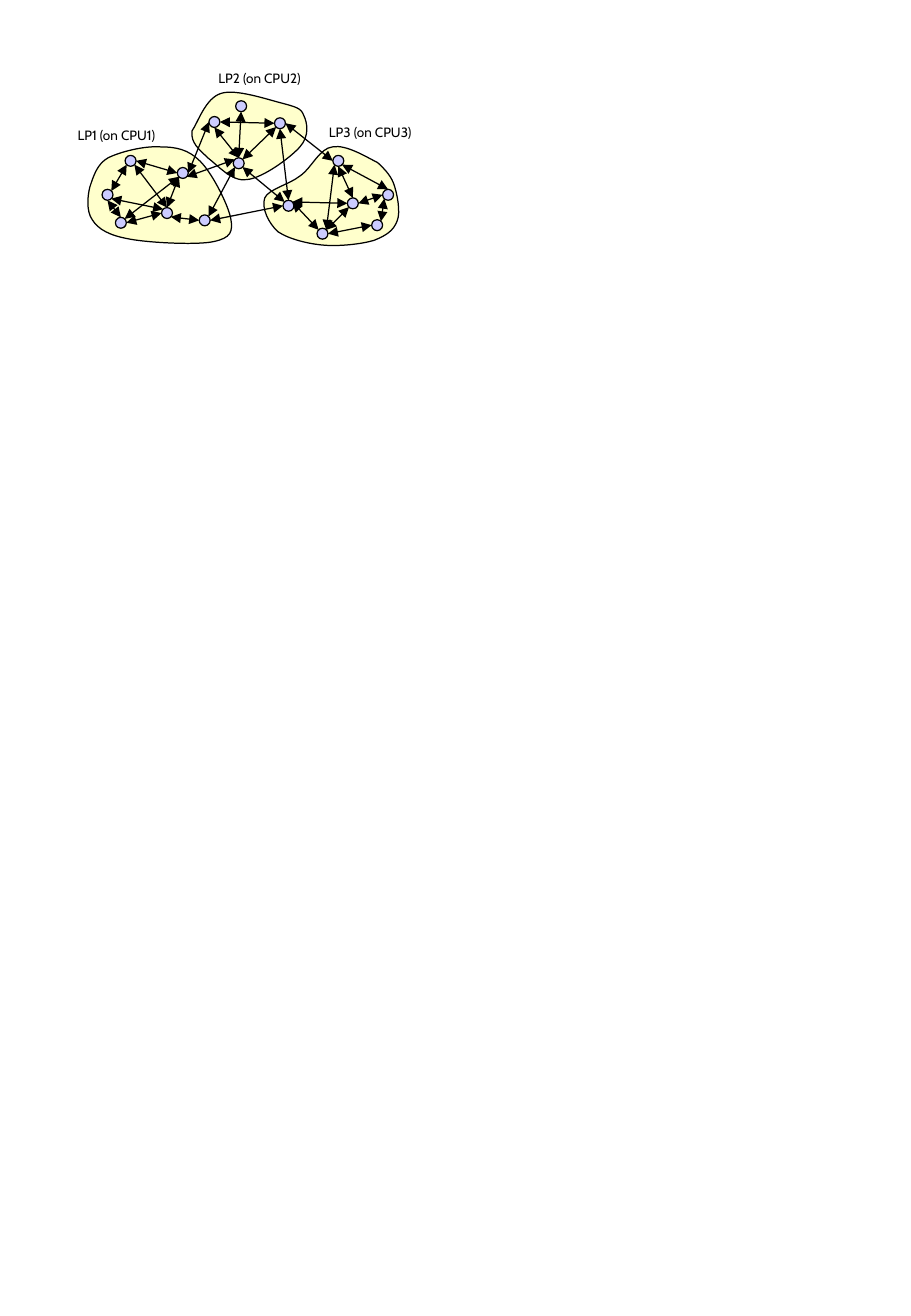
from lxml import etree
from pptx import Presentation
from pptx.dml.color import RGBColor
from pptx.enum.shapes import MSO_CONNECTOR, MSO_SHAPE
from pptx.enum.text import MSO_AUTO_SIZE
from pptx.oxml.ns import qn
from pptx.util import Inches, Pt


def add_text(text, left, top, width, height, size=8, font="Cabin", color="000000"):
    label = slide.shapes.add_textbox(Inches(left), Inches(top), Inches(width), Inches(height))
    label.text_frame.word_wrap = False
    label.text_frame.auto_size = MSO_AUTO_SIZE.SHAPE_TO_FIT_TEXT
    run = label.text_frame.paragraphs[0].add_run()
    run.text = text
    run.font.size = Pt(size)
    run.font.name = font
    run.font.color.rgb = RGBColor.from_string(color)


def paint(shape, fill, line="000000"):
    shape.shadow.inherit = False
    shape.fill.solid()
    shape.fill.fore_color.rgb = RGBColor.from_string(fill)
    shape.line.color.rgb = RGBColor.from_string(line)
    shape.line.width = Pt(0.75)


prs = Presentation()
prs.slide_width, prs.slide_height = Inches(7.5), Inches(10.84)
slide = prs.slides.add_slide(prs.slide_layouts[6])

# Each region is a start point followed by Bezier triples: two handles, then an end point.
regions = [
    [(0.89, 1.3),
     (0.8, 1.35), (0.77, 1.45), (0.74, 1.54),
     (0.72, 1.62), (0.71, 1.74), (0.76, 1.81),
     (0.81, 1.89), (0.9, 1.94), (1.07, 1.97),
     (1.23, 2), (1.63, 2.02), (1.76, 1.99),
     (1.9, 1.96), (1.92, 1.91), (1.9, 1.8),
     (1.88, 1.69), (1.75, 1.43), (1.65, 1.33),
     (1.55, 1.23), (1.45, 1.21), (1.32, 1.21),
     (1.19, 1.2), (0.99, 1.25), (0.89, 1.3)],
    [(1.58, 1.08),
     (1.57, 1.18), (1.64, 1.23), (1.71, 1.3),
     (1.79, 1.36), (1.91, 1.5), (2.03, 1.48),
     (2.16, 1.47), (2.39, 1.3), (2.47, 1.21),
     (2.55, 1.12), (2.53, 1.01), (2.5, 0.95),
     (2.48, 0.89), (2.43, 0.88), (2.32, 0.85),
     (2.2, 0.82), (1.94, 0.73), (1.82, 0.77),
     (1.69, 0.81), (1.63, 1.01), (1.58, 1.08)],
    [(3.11, 1.34),
     (3.01, 1.29), (2.85, 1.19), (2.74, 1.21),
     (2.63, 1.22), (2.57, 1.38), (2.47, 1.45),
     (2.38, 1.52), (2.21, 1.56), (2.18, 1.63),
     (2.15, 1.71), (2.21, 1.84), (2.29, 1.91),
     (2.38, 1.97), (2.54, 2.01), (2.67, 2.02),
     (2.8, 2.03), (2.98, 2.01), (3.08, 1.98),
     (3.18, 1.94), (3.24, 1.9), (3.27, 1.82),
     (3.3, 1.75), (3.27, 1.59), (3.24, 1.51),
     (3.21, 1.43), (3.14, 1.37), (3.11, 1.34)],
]
for points in regions:
    start, *rest = [(Inches(x), Inches(y)) for x, y in points]
    builder = slide.shapes.build_freeform(*start)
    builder.add_line_segments(rest, close=True)
    region = builder.convert_to_shape()
    paint(region, "FFFFCC")
    # Turn every three straight segments into one cubic curve.
    segments = list(region._element.iter(qn("a:lnTo")))
    for i in range(0, len(rest), 3):
        curve = etree.Element(qn("a:cubicBezTo"))
        segments[i].addprevious(curve)
        for segment in segments[i:i + 3]:
            curve.append(segment[0])
            segment.getparent().remove(segment)

for number, left, top in [(1, 0.54, 1), (2, 1.7, 0.53), (3, 2.61, 0.97)]:
    add_text(f"LP{number} (on CPU{number})", left, top, 0.93, 0.24)

# Left and top of each node; the letter tells its region: a = LP1, b = LP2, c = LP3.
DIAMETER = 0.09
nodes = {
    "a1": (1.03, 1.28), "a2": (1.46, 1.38), "a3": (0.84, 1.56),
    "a4": (1.33, 1.71), "a5": (0.95, 1.79), "a6": (1.64, 1.77),
    "b1": (1.94, 0.83), "b2": (1.72, 0.96), "b3": (2.26, 0.97), "b4": (1.92, 1.3),
    "c1": (2.74, 1.28), "c2": (3.15, 1.56), "c3": (2.86, 1.63),
    "c4": (2.33, 1.65), "c5": (3.06, 1.81), "c6": (2.61, 1.88),
}
for left, top in nodes.values():
    node = slide.shapes.add_shape(MSO_SHAPE.OVAL, Inches(left), Inches(top),
                                  Inches(DIAMETER), Inches(DIAMETER))
    paint(node, "CCCCFF")

# Attachment points on a node, as fractions of its diameter.
sites = {
    "N": (0.5, 0), "NE": (0.85, 0.15), "E": (1, 0.5), "SE": (0.85, 0.85),
    "S": (0.5, 1), "SW": (0.15, 0.85), "W": (0, 0.5), "NW": (0.15, 0.15),
}
links = [
    "a1 E a2 W", "a4 SE a6 W", "a2 SW a4 N", "a1 SW a3 NE", "a3 S a5 N",
    "a5 E a4 W", "a3 SE a4 NW", "a5 NE a2 SW", "a1 SE a4 N",
    "b2 E b3 W", "b2 S b4 N", "b3 SW b4 NE", "b1 S b4 N",
    "c1 S c3 N", "c6 NE c3 SW", "c5 NE c2 SW", "c6 E c5 W", "c3 E c2 W",
    "c6 NW c4 NE", "c1 SE c2 N", "c3 W c4 NE", "c1 SW c6 NE",
    "a2 E b2 W", "a2 SE b4 NW", "a6 NE b4 SW", "a6 E c4 W",
    "b3 E c1 W", "b4 SE c4 NW", "b3 S c4 N",
]
for link in links:
    source, source_site, target, target_site = link.split()
    ends = [Inches(corner + DIAMETER * share)
            for name, site in ((source, source_site), (target, target_site))
            for corner, share in zip(nodes[name], sites[site])]
    arrow = slide.shapes.add_connector(MSO_CONNECTOR.STRAIGHT, *ends)
    arrow.line.color.rgb = RGBColor.from_string("000000")
    arrow.line.width = Pt(0.75)
    for tip in ("a:headEnd", "a:tailEnd"):
        etree.SubElement(arrow.line._get_or_add_ln(), qn(tip), type="triangle")
    etree.SubElement(arrow._element.spPr, qn("a:effectLst"))

prs.save("out.pptx")
